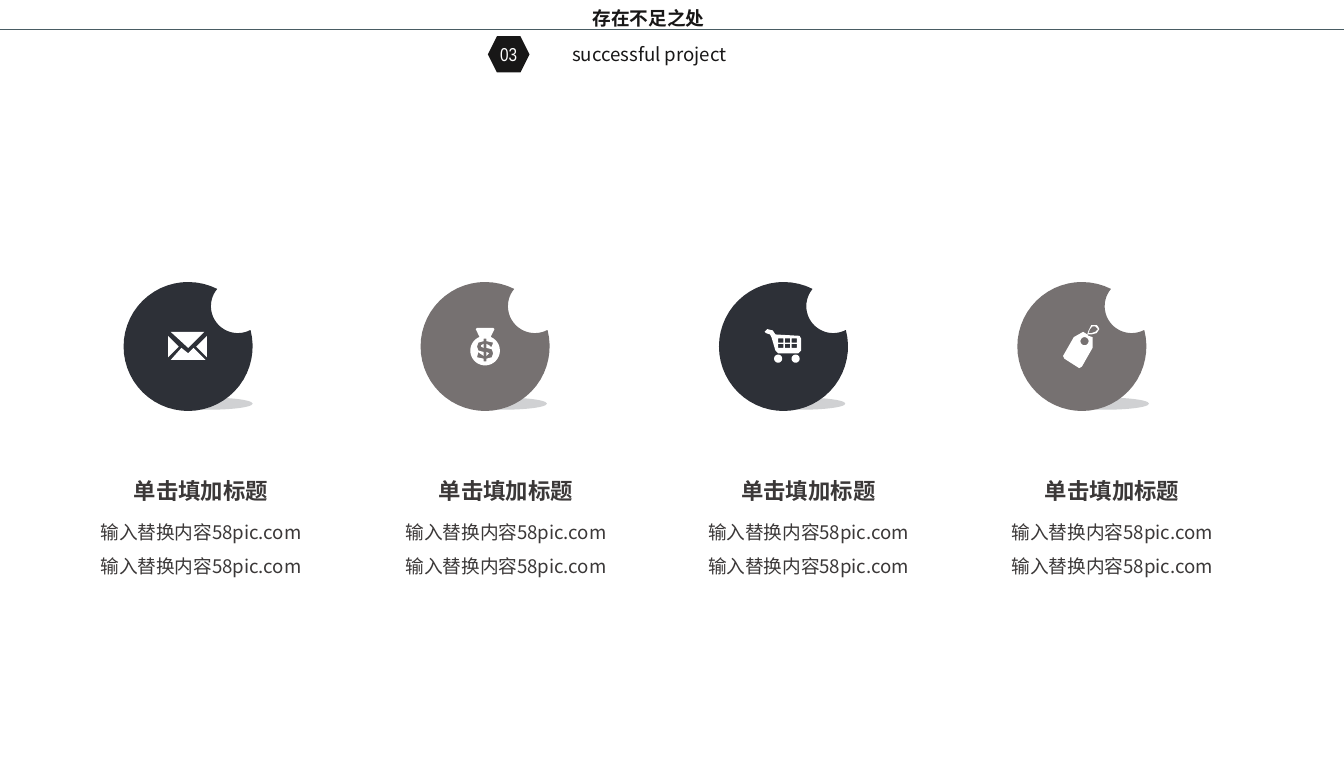
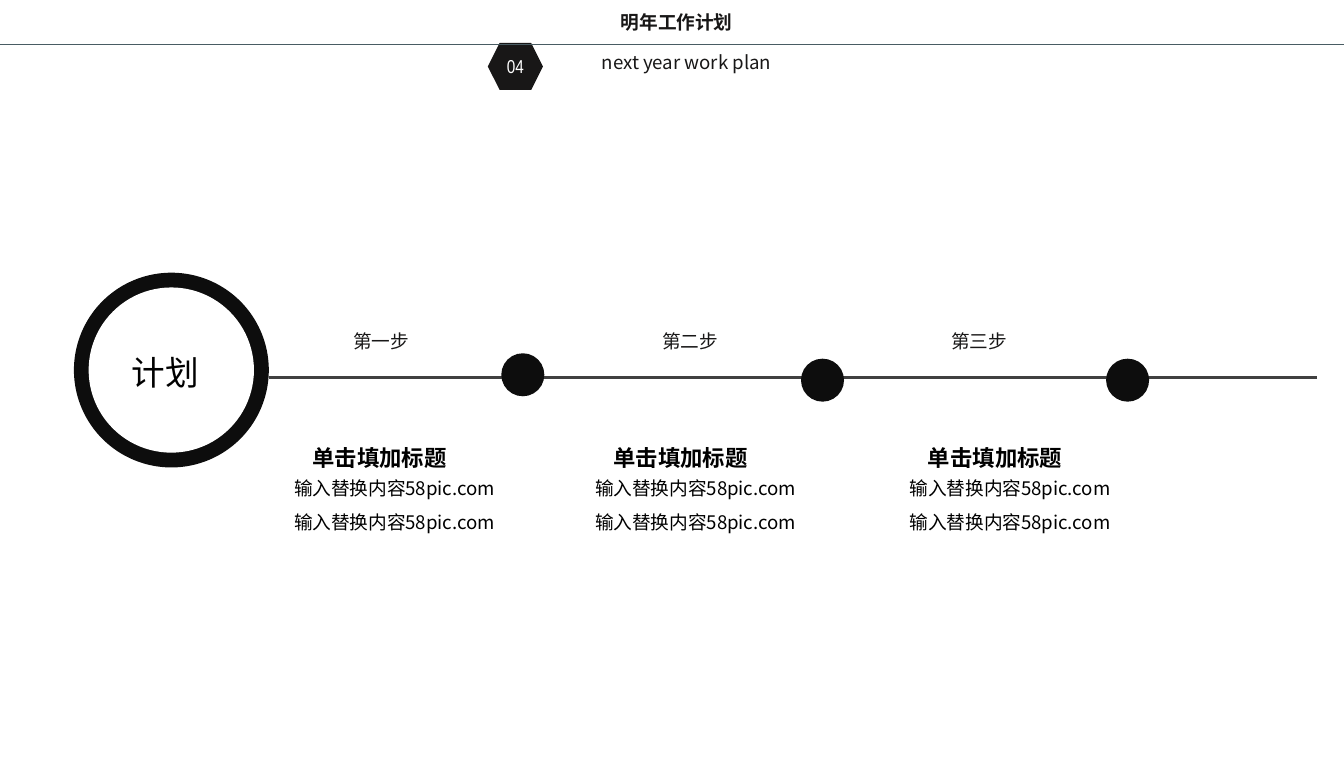
"""Build two slides: four shortcomings as icon cards, and a three-step work plan."""
from dataclasses import dataclass
from math import cos, radians, sin

from lxml.etree import SubElement
from pptx import Presentation
from pptx.dml.color import RGBColor
from pptx.enum.shapes import MSO_CONNECTOR, MSO_SHAPE
from pptx.enum.text import MSO_ANCHOR, PP_ALIGN
from pptx.oxml.ns import qn
from pptx.util import Inches, Pt

COLORS = {
    "ink": "181717", "rule": "495C63", "white": "FFFFFF", "black": "000000",
    "dot": "0D0D0D", "axis": "404040", "text": "3B3838",
    "navy": "2D3037", "grey": "767171", "shade": "53585F",
}
SANS = "Noto Sans CJK SC"
NARROW = "Arial Narrow"
HEADING = "单击填加标题"
BODY = ["输入替换内容58pic.com"] * 2
DISK_TOP = 2.1

Points = list[tuple[float, float]]


@dataclass
class Style:
    size: int = 10
    color: str = "ink"
    bold: bool = False
    font: str = SANS
    align: PP_ALIGN = PP_ALIGN.LEFT
    spacing: float = 1.0
    before: int = 0


@dataclass
class Header:
    number: str
    title: str
    subtitle: str
    rule_top: float
    title_at: tuple[float, float]
    subtitle_box: tuple[float, float, float, float]
    badge_box: tuple[float, float, float, float]


@dataclass
class Card:
    disk_left: float
    shade_left: float
    text_left: float
    color: str
    icon: list[Points]


@dataclass
class Step:
    label: str
    label_left: float
    text_left: float
    dot_left: float
    dot_top: float


def arc(cx: float, cy: float, radius: float, start: float, end: float) -> Points:
    """Return points along a circular arc, angles in degrees."""
    n = 48
    angles = [radians(start + (end - start) * i / n) for i in range(n + 1)]
    return [(cx + radius * cos(a), cy + radius * sin(a)) for a in angles]


def circle(cx: float, cy: float, radius: float) -> Points:
    """Return points around a full circle."""
    return arc(cx, cy, radius, 0, 360)


def rect(x: float, y: float, w: float, h: float) -> Points:
    """Return the corners of a rectangle."""
    return [(x, y), (x + w, y), (x + w, y + h), (x, y + h)]


BITTEN_DISK = [arc(0.48, 0.48, 0.48, -14.6, 296.7) + arc(0.85, 0.18, 0.2, 219.6, 63.4)]
MAIL = [
    [(0.62, 0.4), (0.62, 0.56), (0.54, 0.48)],
    [(0.6, 0.37), (0.48, 0.49), (0.35, 0.37)],
    [(0.61, 0.58), (0.35, 0.58), (0.43, 0.49), (0.48, 0.53), (0.52, 0.49)],
    [(0.33, 0.4), (0.41, 0.48), (0.33, 0.56)],
]
MONEY_BAG = [
    arc(0.48, 0.51, 0.11, -68, 248)
    + [(0.41, 0.35), (0.42, 0.34), (0.54, 0.34), (0.55, 0.35)],
    [(0.52, 0.48), (0.53, 0.48), (0.54, 0.45), (0.49, 0.44), (0.49, 0.42),
     (0.47, 0.42), (0.47, 0.44), (0.43, 0.45), (0.42, 0.48), (0.43, 0.51),
     (0.47, 0.52), (0.47, 0.55), (0.44, 0.53), (0.43, 0.52), (0.42, 0.56),
     (0.47, 0.57), (0.47, 0.59), (0.49, 0.59), (0.49, 0.57), (0.53, 0.56),
     (0.54, 0.53), (0.53, 0.5), (0.49, 0.49), (0.49, 0.46), (0.51, 0.47)],
    [(0.49, 0.52), (0.51, 0.53), (0.49, 0.55)],
    [(0.47, 0.46), (0.47, 0.49), (0.45, 0.48), (0.45, 0.47)],
]
CART = [
    [(0.61, 0.42), (0.61, 0.51), (0.59, 0.53), (0.44, 0.53), (0.42, 0.51),
     (0.39, 0.41), (0.38, 0.39), (0.35, 0.38), (0.34, 0.37), (0.36, 0.35),
     (0.4, 0.36), (0.42, 0.39), (0.6, 0.4)],
    *[rect(0.44 + 0.05 * i, 0.42 + 0.04 * j, 0.04, 0.03)
      for i in range(3) for j in range(2)],
    *[circle(x, 0.57, 0.03) for x in (0.44, 0.57)],
]
TAG = [
    [(0.56, 0.49), (0.48, 0.63), (0.46, 0.64), (0.35, 0.57), (0.34, 0.55),
     (0.42, 0.41), (0.49, 0.37), (0.52, 0.39), (0.53, 0.4), (0.56, 0.41)],
    circle(0.5, 0.44, 0.03),
    [(0.52, 0.39), (0.53, 0.36), (0.55, 0.32), (0.59, 0.32), (0.6, 0.33),
     (0.61, 0.35), (0.59, 0.38), (0.55, 0.39), (0.53, 0.39)],
    [(0.53, 0.38), (0.54, 0.35), (0.56, 0.33), (0.58, 0.33), (0.6, 0.35),
     (0.58, 0.37), (0.55, 0.38)],
]

HEADERS = [
    Header("03", "存在不足之处", "successful project", 0.22, (4.41, 0.05),
           (4.16, 0.27, 1.43, 0.27), (3.63, 0.27, 0.31, 0.27)),
    Header("04", "明年工作计划", "next year work plan", 0.33, (4.62, 0.08),
           (4.38, 0.33, 1.52, 0.27), (3.63, 0.32, 0.41, 0.35)),
]
CARDS = [
    Card(0.92, 1.24, 0.42, "navy", MAIL),
    Card(3.13, 3.43, 2.69, "grey", MONEY_BAG),
    Card(5.35, 5.65, 4.94, "navy", CART),
    Card(7.57, 7.91, 7.2, "grey", TAG),
]
STEPS = [
    Step("第一步", 2.53, 1.86, 3.73, 2.63),
    Step("第二步", 4.83, 4.1, 5.96, 2.67),
    Step("第三步", 6.98, 6.44, 8.23, 2.67),
]


def rgb(name: str) -> RGBColor:
    """Look up a named colour."""
    return RGBColor.from_string(COLORS[name])


def paint(sp, color: str) -> None:
    """Give a shape a flat fill with no line and no shadow."""
    sp.shadow.inherit = False
    sp.fill.solid()
    sp.fill.fore_color.rgb = rgb(color)
    sp.line.fill.background()


def write(tf, lines: list[str], style: Style) -> None:
    """Write paragraphs of one style into a text frame."""
    for i, line in enumerate(lines):
        p = tf.add_paragraph() if i else tf.paragraphs[0]
        p.add_run().text = line
        p.alignment = style.align
        p.line_spacing = style.spacing
        if i:
            p.space_before = Pt(style.before)
        p.font.size = Pt(style.size)
        p.font.bold = style.bold
        p.font.color.rgb = rgb(style.color)
        p.font.name = style.font
        fonts = p._p.pPr.find(qn("a:defRPr"))
        SubElement(fonts, qn("a:ea")).set("typeface", style.font)


def add_text(s, box: tuple[float, ...], lines: list[str], style: Style,
             wrap: bool = True, inset: bool = True,
             anchor: MSO_ANCHOR = MSO_ANCHOR.TOP) -> None:
    """Add a text box."""
    tf = s.shapes.add_textbox(*map(Inches, box)).text_frame
    tf.word_wrap = wrap
    tf.vertical_anchor = anchor
    if not inset:
        tf.margin_left = tf.margin_right = tf.margin_top = tf.margin_bottom = 0
    write(tf, lines, style)


def add_preset(s, kind: MSO_SHAPE, box: tuple[float, ...], color: str):
    """Add a filled preset shape."""
    sp = s.shapes.add_shape(kind, *map(Inches, box))
    paint(sp, color)
    return sp


def add_outline(s, left: float, top: float, contours: list[Points], color: str) -> None:
    """Add one filled freeform made of closed contours."""
    placed = [[(Inches(left + x), Inches(top + y)) for x, y in c] for c in contours]
    builder = s.shapes.build_freeform(*placed[0][0])
    for i, points in enumerate(placed):
        if i:
            builder.move_to(*points[0])
        builder.add_line_segments(points[1:])
    paint(builder.convert_to_shape(), color)


def add_rule(s, start: float, end: float, y: float, color: str, width: float) -> None:
    """Add a horizontal line."""
    line = s.shapes.add_connector(MSO_CONNECTOR.STRAIGHT, Inches(start), Inches(y),
                                  Inches(end), Inches(y))
    line.line.color.rgb = rgb(color)
    line.line.width = Pt(width)
    SubElement(line._element.spPr, qn("a:effectLst"))


def add_header(s, header: Header) -> None:
    """Draw the title, subtitle, number badge and rule."""
    add_text(s, (*header.title_at, 2.88, 0.17), [header.title], Style(bold=True),
             inset=False, anchor=MSO_ANCHOR.MIDDLE)
    add_text(s, header.subtitle_box, [header.subtitle], Style(), wrap=False)
    sp = add_preset(s, MSO_SHAPE.HEXAGON, header.badge_box, "ink")
    sp.text_frame.word_wrap = False
    sp.text_frame.vertical_anchor = MSO_ANCHOR.MIDDLE
    write(sp.text_frame, [header.number],
          Style(color="white", font=NARROW, align=PP_ALIGN.CENTER))
    add_rule(s, 0, 10, header.rule_top, "rule", 0.5)


def add_caption(s, left: float, body_top: float, heading_left: float,
                heading_top: float, color: str) -> None:
    """Draw a heading above two lines of body text."""
    add_text(s, (left, body_top, 2.15, 0.52), BODY,
             Style(color=color, align=PP_ALIGN.CENTER, before=6))
    add_text(s, (heading_left, heading_top, 1.37, 0.23), [HEADING],
             Style(12, color, True, align=PP_ALIGN.CENTER, spacing=1.2), inset=False)


def add_card(s, card: Card) -> None:
    """Draw a bitten disk with its shade, icon and caption."""
    sp = add_preset(s, MSO_SHAPE.OVAL, (card.shade_left, 2.96, 0.64, 0.09), "shade")
    fill = sp._element.spPr.find(qn("a:solidFill"))[0]
    SubElement(fill, qn("a:alpha")).set("val", "27000")
    add_outline(s, card.disk_left, DISK_TOP, BITTEN_DISK, card.color)
    add_outline(s, card.disk_left, DISK_TOP, card.icon, "white")
    add_caption(s, card.text_left, 3.83, card.text_left + 0.39, 3.51, "text")


def add_step(s, step: Step) -> None:
    """Draw a timeline dot with its label and caption."""
    add_preset(s, MSO_SHAPE.OVAL, (step.dot_left, step.dot_top, 0.32, 0.32), "dot")
    add_text(s, (step.label_left, 2.41, 0.62, 0.27), [step.label], Style(), wrap=False)
    add_caption(s, step.text_left, 3.5, step.text_left + 0.28, 3.27, "black")


def main() -> None:
    """Build and save the presentation."""
    prs = Presentation()
    prs.slide_width, prs.slide_height = Inches(10), Inches(5.71)
    shortcomings, plan = (prs.slides.add_slide(prs.slide_layouts[6]) for _ in HEADERS)
    for s, header in zip((shortcomings, plan), HEADERS):
        add_header(s, header)
    for card in CARDS:
        add_card(shortcomings, card)
    add_rule(plan, 9.8, 2, 2.81, "axis", 1.25)
    add_preset(plan, MSO_SHAPE.OVAL, (0.55, 2.03, 1.45, 1.45), "dot")
    add_preset(plan, MSO_SHAPE.OVAL, (0.66, 2.14, 1.23, 1.23), "white")
    add_text(plan, (0.88, 2.57, 0.71, 0.4), ["计划"], Style(18, "black"), wrap=False)
    for step in STEPS:
        add_step(plan, step)
    prs.save("out.pptx")


if __name__ == "__main__":
    main()
